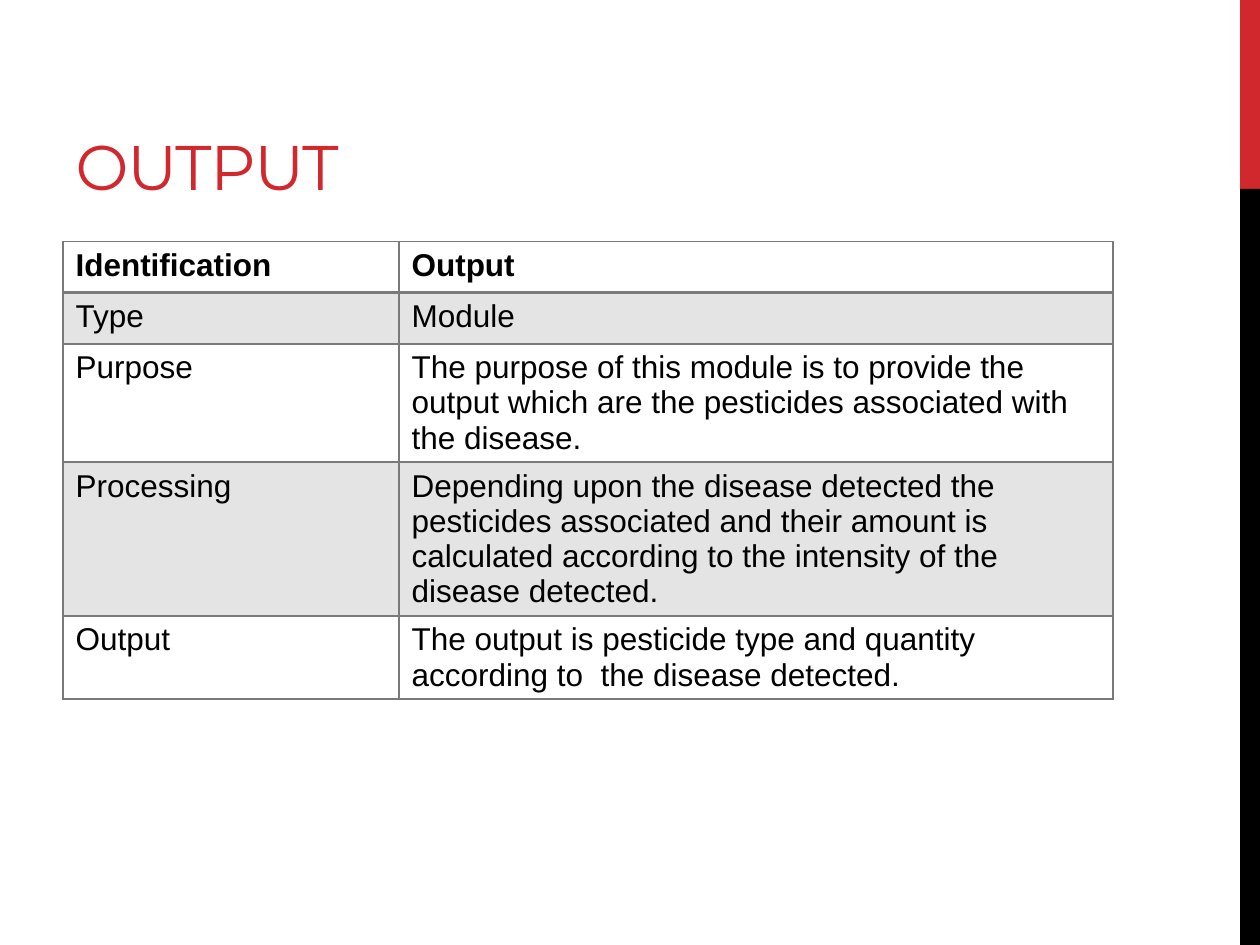
from pptx import Presentation
from pptx.dml.color import RGBColor
from pptx.enum.shapes import MSO_SHAPE as Shape
from pptx.enum.text import MSO_ANCHOR as Anchor, PP_ALIGN as Align
from pptx.oxml import parse_xml
from pptx.oxml.ns import nsdecls, qn
from pptx.util import Cm, Pt

RED = RGBColor(0xD1, 0x28, 0x2E)
BLACK = RGBColor(0, 0, 0)
GRAY = RGBColor(0x7A, 0x7A, 0x7A)

ROWS = [
    ("Identification", "Output"),
    ("Type", "Module"),
    ("Purpose", "The purpose of this module is to provide the output which are "
                "the pesticides associated with the disease."),
    ("Processing", "Depending upon the disease detected the pesticides associated "
                   "and their amount is calculated according to the intensity of "
                   "the disease detected."),
    ("Output", "The output is pesticide type and quantity according to  "
               "the disease detected."),
]


def add_side_band(slide, left, top, width, height):
    red_height = height // 5
    parts = [(RED, top, red_height), (BLACK, top + red_height, height - red_height)]
    for color, part_top, part_height in parts:
        shape = slide.shapes.add_shape(Shape.RECTANGLE, left, part_top, width, part_height)
        shape.shadow.inherit = False
        shape.fill.solid()
        shape.fill.fore_color.rgb = color
        shape.line.fill.background()


def format_title(slide, text, left, top, width, height):
    title = slide.shapes.title
    title.left, title.top, title.width, title.height = left, top, width, height
    frame = title.text_frame
    frame.text = text
    frame.word_wrap = True
    frame.vertical_anchor = Anchor.BOTTOM
    paragraph = frame.paragraphs[0]
    paragraph.alignment = Align.LEFT
    run = paragraph.runs[0]
    run.font.name = "Montserrat"
    run.font.size = Pt(36)
    run.font.color.rgb = RED
    run.font._element.set("spc", "-60")


def set_borders(cell, widths):
    properties = cell._tc.get_or_add_tcPr()
    for index, (side, width) in enumerate(widths.items()):
        properties.insert(index, parse_xml(
            f'<a:ln{side} {nsdecls("a")} w="{Pt(width)}"><a:solidFill>'
            f'<a:srgbClr val="{GRAY}"/></a:solidFill></a:ln{side}>'))


def shade(cell, percent):
    cell.fill.solid()
    cell.fill.fore_color.rgb = GRAY
    color = cell._tc.tcPr.find(".//" + qn("a:srgbClr"))
    color.append(parse_xml(f'<a:alpha {nsdecls("a")} val="{percent * 1000}"/>'))


def format_cell(cell, text, row):
    cell.text = text
    font = cell.text_frame.paragraphs[0].runs[0].font
    font.name = "Arial"
    font.size = Pt(18)
    font.bold = row == 0
    font.color.rgb = BLACK
    if row % 2:
        shade(cell, 20)
    else:
        cell.fill.background()
    set_borders(cell, {"L": 1, "R": 1, "T": 2 if row == 1 else 1, "B": 2 if row == 0 else 1})


def add_module_table(slide, left, top, width, row_height):
    height = row_height * len(ROWS)
    table = slide.shapes.add_table(len(ROWS), 2, left, top, width, height).table
    table.columns[0].width = int(width * 0.32)
    table.columns[1].width = width - table.columns[0].width
    for row, texts in enumerate(ROWS):
        table.rows[row].height = row_height
        for column, text in enumerate(texts):
            format_cell(table.cell(row, column), text, row)


presentation = Presentation()
presentation.slide_width = Cm(25.4)
presentation.slide_height = Cm(19.05)
slide = presentation.slides.add_slide(presentation.slide_layouts[5])
add_side_band(slide, Cm(25), 0, Cm(0.4), presentation.slide_height)
format_title(slide, "OUTPUT", Cm(1.27), Cm(0.42), Cm(16.09), Cm(3.81))
add_module_table(slide, Cm(1.27), Cm(4.87), Cm(21.17), Cm(1.03))
presentation.save("out.pptx")
